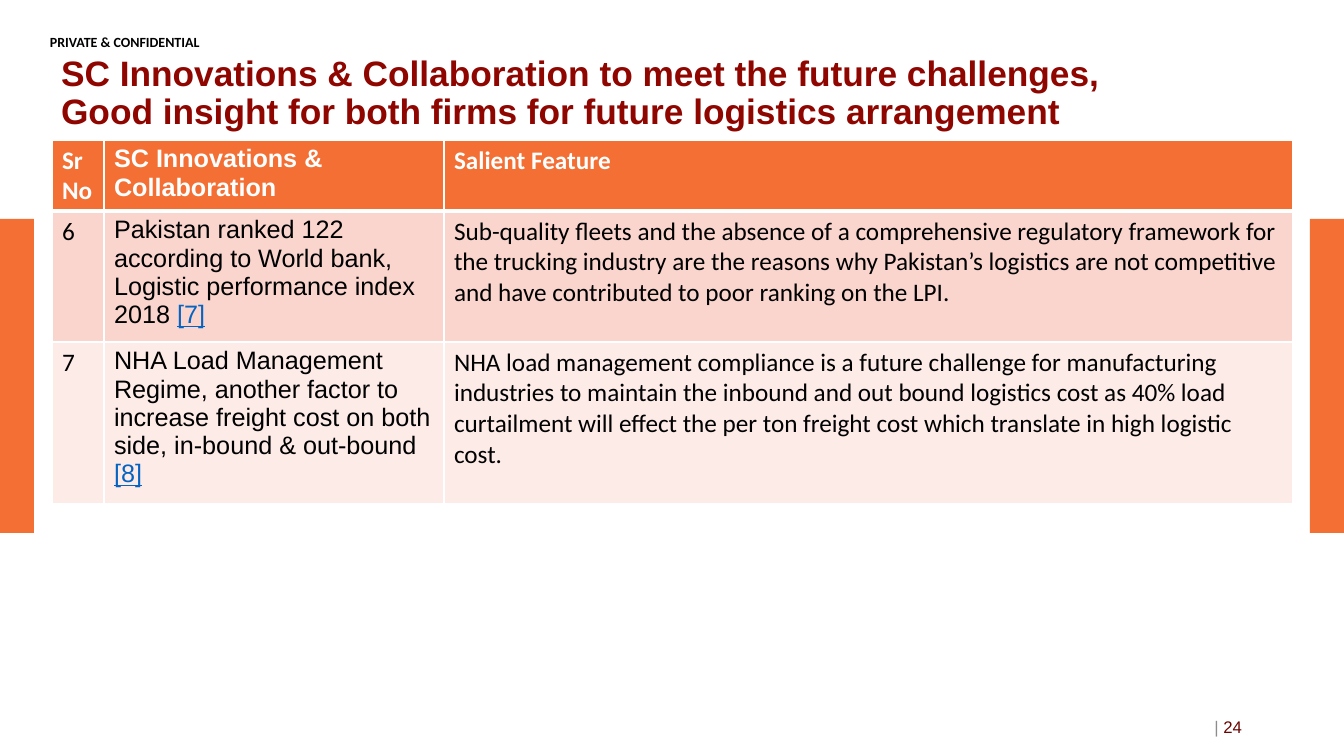
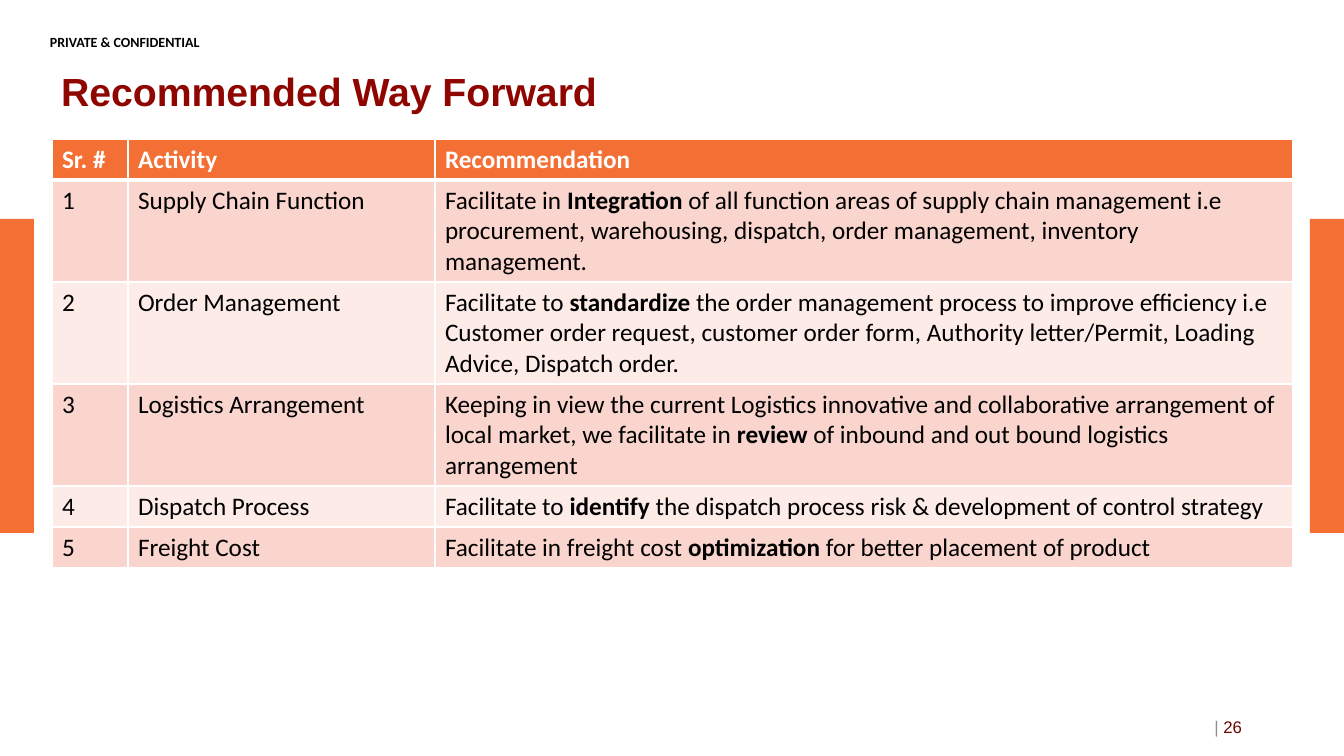
from dataclasses import dataclass

import pptx
import pptx.dml.color
import pptx.enum.shapes
import pptx.enum.text
import pptx.oxml
import pptx.oxml.ns
import pptx.util

WIDE, HIGH = 1344, 756
SCALE = 12192000 / WIDE
ALIGN = pptx.enum.text.PP_ALIGN
ANCHOR = pptx.enum.text.MSO_ANCHOR

ORANGE, HEAD = "F46F33", "F36F33"
TINTS = ("FAD5CE", "FDEBE8")
WHITE, BLACK, GREY = "FFFFFF", "000000", "8C8C8C"
RED, DARK, BLUE = "8F0500", "6A0500", "0563C1"


@dataclass(frozen=True)
class Run:
    text: str
    color: str | None = None
    bold: bool | None = None
    line: bool = False


Text = str | tuple[Run, ...]


@dataclass(frozen=True)
class Page:
    number: int
    title: str
    size: float
    top: int
    cols: tuple[int, ...]
    fonts: tuple[str, ...]
    heights: tuple[int, ...]
    rows: tuple[tuple[Text, ...], ...]


def px(count: float) -> pptx.util.Emu:
    return pptx.util.Emu(round(count * SCALE))


def rgb(code: str) -> pptx.dml.color.RGBColor:
    return pptx.dml.color.RGBColor.from_string(code)


def write(frame, text: Text, *, size: float, font: str = "Calibri",
          color: str = BLACK, bold: bool = False, align=ALIGN.LEFT,
          anchor=ANCHOR.TOP, space: float | None = None) -> None:
    """Fill a text frame with one paragraph of formatted runs."""
    frame.word_wrap = True
    frame.vertical_anchor = anchor
    para = frame.paragraphs[0]
    para.alignment = align
    para.line_spacing = space
    for part in (Run(text),) if isinstance(text, str) else text:
        for index, piece in enumerate(part.text.split("\n")):
            if index:
                para.add_line_break()
            run = para.add_run()
            run.text = piece
            run.font.name = font
            run.font.size = pptx.util.Pt(size)
            run.font.bold = bold if part.bold is None else part.bold
            run.font.underline = part.line
            run.font.color.rgb = rgb(part.color or color)


def edge(cell, side: str, width: float) -> None:
    """Append one white border; call in the order L, R, T, B."""
    cell._tc.get_or_add_tcPr().append(pptx.oxml.parse_xml(
        f'<a:ln{side} {pptx.oxml.ns.nsdecls("a")} w="{pptx.util.Pt(width)}">'
        f'<a:solidFill><a:srgbClr val="{WHITE}"/></a:solidFill></a:ln{side}>'))


def add_box(slide, left: int, top: int, width: int, height: int):
    return slide.shapes.add_textbox(px(left), px(top), px(width), px(height))


def add_frame(slide, page: Page) -> None:
    """Draw the side bands, the notice, the title and the page number."""
    for left in (0, WIDE - 34):
        band = slide.shapes.add_shape(
            pptx.enum.shapes.MSO_SHAPE.RECTANGLE, px(left), px(219), px(34), px(314))
        band.shadow.inherit = False
        band.fill.solid()
        band.fill.fore_color.rgb = rgb(ORANGE)
        band.line.fill.background()

    note = add_box(slide, 50, 34, 255, 12).text_frame
    note.margin_left = note.margin_right = note.margin_top = note.margin_bottom = 0
    write(note, "PRIVATE & CONFIDENTIAL", size=10, bold=True)

    title = slide.shapes.title
    title.left, title.top, title.width, title.height = px(51), px(58), px(1095), px(72)
    title.text_frame.auto_size = pptx.enum.text.MSO_AUTO_SIZE.NONE
    write(title.text_frame, page.title, size=page.size, font="Arial", color=RED,
          bold=True, anchor=ANCHOR.MIDDLE, space=0.9)

    foot = add_box(slide, 950, 707, 302, 40).text_frame
    write(foot, (Run("| ", GREY), Run(str(page.number), DARK)), size=12,
          font="Arial", align=ALIGN.RIGHT, anchor=ANCHOR.MIDDLE)


def add_grid(slide, page: Page) -> None:
    table = slide.shapes.add_table(
        len(page.rows), len(page.cols), px(52), px(page.top),
        px(sum(page.cols)), px(sum(page.heights))).table
    for col, width in zip(table.columns, page.cols):
        col.width = px(width)
    for index, (row, height) in enumerate(zip(table.rows, page.heights)):
        row.height = px(height)
        head = index == 0
        for cell, text, font in zip(row.cells, page.rows[index], page.fonts):
            for side in "LRTB":
                thick = (side == "B" and head) or (side == "T" and index == 1)
                edge(cell, side, 3 if thick else 1)
            cell.fill.solid()
            cell.fill.fore_color.rgb = rgb(HEAD if head else TINTS[(index - 1) % 2])
            write(cell.text_frame, text, size=18, font=font,
                  color=WHITE if head else BLACK, bold=head)


def cite(text: str, mark: str) -> Text:
    return Run(text), Run(mark, BLUE, line=True)


def stress(start: str, word: str, end: str) -> Text:
    return Run(start), Run(word, bold=True), Run(end)


PAGES = (
    Page(
        24,
        "SC Innovations & Collaboration to meet the future challenges,\n"
        "Good insight for both firms for future logistics arrangement",
        25.2, 140, (52, 340, 849), ("Calibri", "Arial", "Calibri"), (71, 123, 152),
        (
            ("Sr No", "SC Innovations & Collaboration", "Salient Feature"),
            ("6",
             cite("Pakistan ranked 122 according to World bank, Logistic "
                  "performance index 2018 ", "[7]"),
             "Sub-quality fleets and the absence of a comprehensive regulatory "
             "framework for the trucking industry are the reasons why Pakistan’s "
             "logistics are not competitive and have contributed to poor ranking "
             "on the LPI."),
            ("7",
             cite("NHA Load Management Regime, another factor to increase freight "
                  "cost on both side, in-bound & out-bound ", "[8]"),
             "NHA load management compliance is a future challenge for "
             "manufacturing industries to maintain the inbound and out bound "
             "logistics cost as 40% load curtailment will effect the per ton "
             "freight cost which translate in high logistic cost."),
        ),
    ),
    Page(
        26, "Recommended Way Forward",
        28, 139, (76, 307, 858), ("Calibri",) * 3, (41, 102, 102, 102, 41, 41),
        (
            ("Sr. #", "Activity", "Recommendation"),
            ("1", "Supply Chain Function",
             stress("Facilitate in ", "Integration",
                    " of all function areas of supply chain management i.e "
                    "procurement, warehousing, dispatch, order management, "
                    "inventory management.")),
            ("2", "Order Management",
             stress("Facilitate to ", "standardize",
                    " the order management process to improve efficiency i.e "
                    "Customer order request, customer order form, Authority "
                    "letter/Permit, Loading Advice, Dispatch order.")),
            ("3", "Logistics Arrangement",
             stress("Keeping in view the current Logistics innovative and "
                    "collaborative arrangement of local market, we facilitate in ",
                    "review", " of inbound and out bound logistics arrangement")),
            ("4", "Dispatch Process",
             stress("Facilitate to ", "identify",
                    " the dispatch process risk & development of control strategy")),
            ("5", "Freight Cost",
             stress("Facilitate in freight cost ", "optimization",
                    " for better placement of product")),
        ),
    ),
)


def main() -> None:
    deck = pptx.Presentation()
    deck.slide_width, deck.slide_height = px(WIDE), px(HIGH)
    for page in PAGES:
        slide = deck.slides.add_slide(deck.slide_layouts.get_by_name("Title Only"))
        add_frame(slide, page)
        add_grid(slide, page)
    deck.save("out.pptx")


if __name__ == "__main__":
    main()
